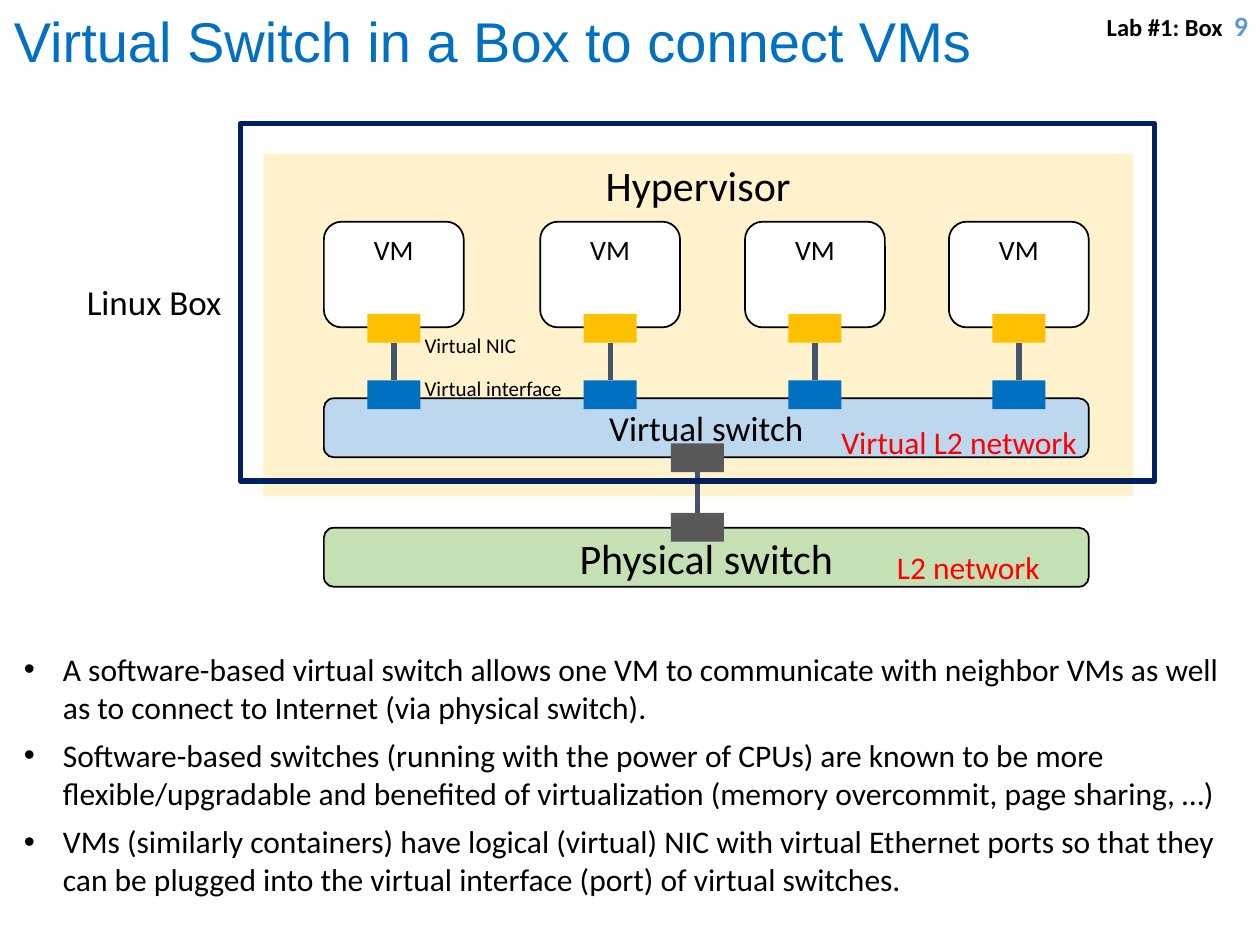
"""Build the slide on a virtual switch that connects VMs inside a Linux box."""
from pptx import Presentation
from pptx.dml.color import RGBColor
from pptx.enum.shapes import MSO_CONNECTOR, MSO_SHAPE
from pptx.enum.text import MSO_ANCHOR, MSO_AUTO_SIZE, PP_ALIGN
from pptx.oxml.ns import qn
from pptx.util import Cm, Pt
from lxml.etree import SubElement

BLACK = RGBColor(0x00, 0x00, 0x00)
WHITE = RGBColor(0xFF, 0xFF, 0xFF)
RED = RGBColor(0xFF, 0x00, 0x00)
BLUE = RGBColor(0x00, 0x70, 0xC0)
LIGHT_BLUE = RGBColor(0x5B, 0x9B, 0xD5)
PALE_BLUE = RGBColor(0xBD, 0xD7, 0xEE)
NAVY = RGBColor(0x00, 0x20, 0x60)
SLATE = RGBColor(0x44, 0x54, 0x6A)
CREAM = RGBColor(0xFF, 0xF2, 0xCC)
AMBER = RGBColor(0xFF, 0xC0, 0x00)
GREEN = RGBColor(0xC5, 0xE0, 0xB4)
GRAY = RGBColor(0x59, 0x59, 0x59)

TITLE = "Virtual Switch in a Box to connect VMs"
SLIDE_TAG = [
    ("Lab #1: Box  ", BLACK, {"size": Pt(14), "bold": True}),
    ("9", LIGHT_BLUE, {"size": Pt(16), "bold": True}),
]
BULLETS = [
    "A software-based virtual switch allows one VM to communicate with neighbor VMs as well "
    "as to connect to Internet (via physical switch).",
    "Software-based switches (running with the power of CPUs) are known to be more "
    "flexible/upgradable and benefited of virtualization (memory overcommit, page sharing, …)",
    "VMs (similarly containers) have logical (virtual) NIC with virtual Ethernet ports so that they "
    "can be plugged into the virtual interface (port) of virtual switches.",
]
LABELS = [
    ("Virtual NIC", 12, BLACK, (8.31, 6.58, 2.64, 0.76)),
    ("Virtual interface", 12, BLACK, (8.31, 7.44, 3.76, 0.76)),
    ("Virtual L2 network", 18, RED, (16.71, 8.41, 5.31, 1.02)),
    ("Linux Box", 20, BLACK, (1.5, 5.54, 3.25, 1.12)),
    ("L2 network", 18, RED, (17.83, 10.92, 3.43, 1.02)),
]
SWITCHES = [
    ("Virtual switch", 20, PALE_BLUE, 8.03),
    ("Physical switch", 24, GREEN, 10.64),
]
HYPERVISOR_BOX = (5.31, 3.1, 17.53, 6.91)
LINUX_FRAME = (4.85, 2.49, 18.42, 7.21)
SWITCH_LEFT, SWITCH_WIDTH, SWITCH_HEIGHT = 6.53, 15.42, 1.19
VM_CENTERS = [7.94, 12.3, 16.43, 20.54]
VM_TOP, VM_WIDTH, VM_HEIGHT = 4.47, 2.82, 2.13
PORT_WIDTH, PORT_HEIGHT = 1.07, 0.58
NIC_TOP, INTERFACE_TOP = 6.33, 7.67
UPLINK_CENTER, UPLINK_TOP, DOWNLINK_TOP = 14.06, 8.94, 10.34


def add_run(paragraph, text, color, formats):
    run = paragraph.add_run()
    run.text = text
    for name, value in {"name": "Calibri", **formats}.items():
        setattr(run.font, name, value)
    run.font.color.rgb = color


def add_block(slide, kind, box, fill=None, line=None, line_width=1, text="", size=16,
              anchor=MSO_ANCHOR.TOP):
    shape = slide.shapes.add_shape(kind, *map(Cm, box))
    shape.shadow.inherit = False
    if fill is None:
        shape.fill.background()
    else:
        shape.fill.solid()
        shape.fill.fore_color.rgb = fill
    if line is None:
        shape.line.fill.background()
    else:
        shape.line.color.rgb = line
        shape.line.width = Pt(line_width)
    if text:
        shape.text_frame.vertical_anchor = anchor
        paragraph = shape.text_frame.paragraphs[0]
        paragraph.alignment = PP_ALIGN.CENTER
        add_run(paragraph, text, BLACK, {"size": Pt(size)})


def add_text_frame(slide, box, wrap=True):
    frame = slide.shapes.add_textbox(*map(Cm, box)).text_frame
    frame.word_wrap = wrap
    frame.auto_size = MSO_AUTO_SIZE.NONE
    return frame


def add_port_pair(slide, center, upper_top, lower_top, upper_color, lower_color):
    for top, color in [(upper_top, upper_color), (lower_top, lower_color)]:
        add_block(slide, MSO_SHAPE.RECTANGLE,
                  (center - PORT_WIDTH / 2, top, PORT_WIDTH, PORT_HEIGHT), color)
    connector = slide.shapes.add_connector(
        MSO_CONNECTOR.STRAIGHT, Cm(center), Cm(upper_top + PORT_HEIGHT), Cm(center), Cm(lower_top))
    connector.line.color.rgb = SLATE
    connector.line.width = Pt(3)
    SubElement(connector._element.spPr, qn("a:effectLst"))


def add_bullet(paragraph, text):
    properties = paragraph._p.get_or_add_pPr()
    properties.set("marL", str(Cm(0.79)))
    properties.set("indent", str(-Cm(0.79)))
    SubElement(properties, qn("a:buFont")).set("typeface", "Arial")
    SubElement(properties, qn("a:buChar")).set("char", "•")
    add_run(paragraph, text, BLACK, {"size": Pt(18)})


def add_diagram(slide):
    add_block(slide, MSO_SHAPE.RECTANGLE, HYPERVISOR_BOX, CREAM, text="Hypervisor", size=24)
    for text, size, color, top in SWITCHES:
        add_block(slide, MSO_SHAPE.ROUNDED_RECTANGLE,
                  (SWITCH_LEFT, top, SWITCH_WIDTH, SWITCH_HEIGHT),
                  color, BLACK, text=text, size=size, anchor=MSO_ANCHOR.MIDDLE)
    for center in VM_CENTERS:
        add_block(slide, MSO_SHAPE.ROUNDED_RECTANGLE,
                  (center - VM_WIDTH / 2, VM_TOP, VM_WIDTH, VM_HEIGHT), WHITE, BLACK, text="VM")
        add_port_pair(slide, center, NIC_TOP, INTERFACE_TOP, AMBER, BLUE)
    add_port_pair(slide, UPLINK_CENTER, UPLINK_TOP, DOWNLINK_TOP, GRAY, GRAY)
    add_block(slide, MSO_SHAPE.RECTANGLE, LINUX_FRAME, line=NAVY, line_width=3)
    for text, size, color, box in LABELS:
        frame = add_text_frame(slide, box, wrap=False)
        add_run(frame.paragraphs[0], text, color, {"size": Pt(size)})


def add_texts(slide):
    body = add_text_frame(slide, (0.23, 12.98, 24.77, 5.31))
    for index, text in enumerate(BULLETS):
        paragraph = body.add_paragraph() if index else body.paragraphs[0]
        if index < len(BULLETS) - 1:
            paragraph.space_after = Pt(6)
        add_bullet(paragraph, text)

    title = add_text_frame(slide, (0.03, 0, 22.1, 1.63))
    add_run(title.paragraphs[0], TITLE, BLUE, {"name": "Arial", "size": Pt(32)})

    tag = add_text_frame(slide, (19.69, 0, 5.72, 1.02))
    tag.vertical_anchor = MSO_ANCHOR.MIDDLE
    tag.paragraphs[0].alignment = PP_ALIGN.RIGHT
    for text, color, formats in SLIDE_TAG:
        add_run(tag.paragraphs[0], text, color, formats)


def main():
    presentation = Presentation()
    presentation.slide_width, presentation.slide_height = Cm(25.4), Cm(19.05)
    slide = presentation.slides.add_slide(presentation.slide_layouts[6])
    add_diagram(slide)
    add_texts(slide)
    presentation.save("out.pptx")


if __name__ == "__main__":
    main()
